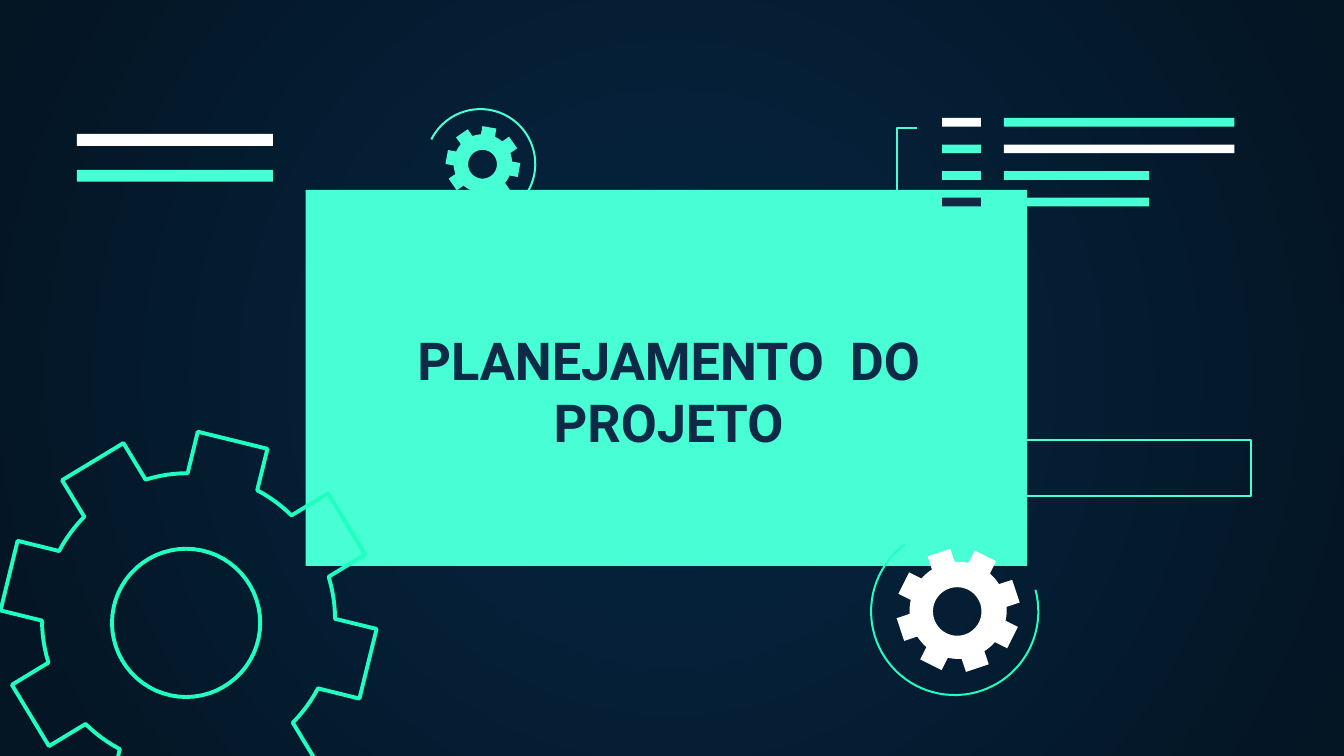
"""Builds the project planning cover slide with gears, bars and a title panel."""
import math

import lxml.etree
import pptx
import pptx.dml.color
import pptx.enum.shapes
import pptx.enum.text
import pptx.oxml.ns
import pptx.util

Pt = pptx.util.Pt
qn = pptx.oxml.ns.qn
COLORS = {
    "mint": "48FFD5",
    "green": "1EFFC1",
    "white": "FFFFFF",
    "navy": "0E2A47",
    "glow": "052643",
    "night": "041523",
}


def rgb(name):
    return pptx.dml.color.RGBColor.from_string(COLORS[name])


def paint(shape, fill=None, line=None, weight=1.09):
    shape.shadow.inherit = False
    if fill:
        shape.fill.solid()
        shape.fill.fore_color.rgb = rgb(fill)
    else:
        shape.fill.background()
    if line:
        shape.line.color.rgb = rgb(line)
        shape.line.width = Pt(weight)
    else:
        shape.line.fill.background()


def add_background(slide):
    fill = slide.background.fill
    fill.gradient()
    for stop, name in zip(fill.gradient_stops, ("glow", "night")):
        stop.color.rgb = rgb(name)
    gradient = slide.element.find(".//" + qn("a:gradFill"))
    gradient.remove(gradient.find(qn("a:lin")))
    circle = lxml.etree.SubElement(gradient, qn("a:path"), {"path": "circle"})
    center = dict.fromkeys("ltrb", "50000")
    lxml.etree.SubElement(circle, qn("a:fillToRect"), center)


def add_box(slide, left, top, width, height, **style):
    rectangle = pptx.enum.shapes.MSO_SHAPE.RECTANGLE
    box = slide.shapes.add_shape(rectangle, Pt(left), Pt(top), Pt(width), Pt(height))
    paint(box, **style)


def add_outline(slide, contours, closed=True, **style):
    builder = None
    for contour in contours:
        (x, y), *rest = [(Pt(px), Pt(py)) for px, py in contour]
        if builder is None:
            builder = slide.shapes.build_freeform(x, y)
        else:
            builder.move_to(x, y)
        builder.add_line_segments(rest, close=closed)
    paint(builder.convert_to_shape(), **style)


def arc_points(center, radius, start, end, steps=60):
    angles = [math.radians(start + (end - start) * i / steps) for i in range(steps + 1)]
    return [(center[0] + radius * math.cos(a), center[1] + radius * math.sin(a)) for a in angles]


def add_arc(slide, center, radius, start, end, color):
    add_outline(slide, [arc_points(center, radius, start, end)], closed=False, line=color)


def add_gear(slide, center, reach, root, half_tooth, phase, hole_center, hole, **style):
    teeth = 8
    pitch = 360 / teeth
    root_half = math.degrees(math.asin(half_tooth / root))
    tip_half = math.degrees(math.atan2(half_tooth, reach))
    tip_radius = math.hypot(reach, half_tooth)
    rim = []
    for tooth in range(teeth):
        axis = phase + tooth * pitch
        rim += arc_points(center, tip_radius, axis - tip_half, axis + tip_half, 1)
        rim += arc_points(center, root, axis + root_half, axis + pitch - root_half, 6)
    add_outline(slide, [rim, arc_points(hole_center, hole, 0, 360)], **style)


def add_bar_list(slide):
    rows = [("white", "mint", 123.6), ("mint", "white", 123.6),
            ("mint", "mint", 77.8), ("navy", "mint", 77.8)]
    for row, (label, bar, length) in enumerate(rows):
        top = 63.2 + row * 14.25
        add_box(slide, 504.7, top, 20.8, 4.7, fill=label)
        add_box(slide, 537.8, top, length, 4.7, fill=bar)


def add_title(slide, text):
    title = slide.shapes.add_textbox(Pt(211.7), Pt(168.5), Pt(293), Pt(68.4))
    frame = title.text_frame
    frame.word_wrap = True
    frame.margin_left = frame.margin_right = Pt(7.2)
    frame.margin_top = frame.margin_bottom = Pt(7.2)
    paragraph = frame.paragraphs[0]
    paragraph.text = text
    paragraph.alignment = pptx.enum.text.PP_ALIGN.CENTER
    paragraph.font.name = "Roboto"
    paragraph.font.size = Pt(28)
    paragraph.font.bold = True
    paragraph.font.color.rgb = rgb("navy")


def main():
    deck = pptx.Presentation()
    deck.slide_width, deck.slide_height = Pt(720), Pt(405)
    slide = deck.slides.add_slide(deck.slide_layouts[6])
    add_background(slide)
    add_box(slide, 163.7, 101.7, 386.6, 201.5, fill="mint")

    add_arc(slide, (257.4, 87.9), 29.4, 206.6, 400, "mint")
    add_arc(slide, (511.5, 327.6), 44.8, -15, 233.5, "green")
    add_gear(slide, (101, 332), 99, 78.5, 19.2, 13.8, (99.7, 333.7), 39.7,
             line="green", weight=2.1)
    add_gear(slide, (513.3, 327), 32.6, 26, 6.4, 26.6, (512.8, 327.6), 13, fill="white")
    add_gear(slide, (258.7, 87.6), 19.7, 15.7, 3.8, 10.2, (258.5, 88), 7.7, fill="mint")

    add_bar_list(slide)
    bracket = [(491.5, 112), (480.5, 112), (480.5, 68.5), (491.2, 68.5)]
    add_outline(slide, [bracket], closed=False, line="mint")
    for top, color in ((71.8, "white"), (91, "mint")):
        add_box(slide, 41.2, top, 105, 6.4, fill=color)
    add_box(slide, 518.4, 235.8, 151.8, 30, line="mint")
    add_title(slide, "PLANEJAMENTO  DO PROJETO")
    deck.save("out.pptx")


if __name__ == "__main__":
    main()
